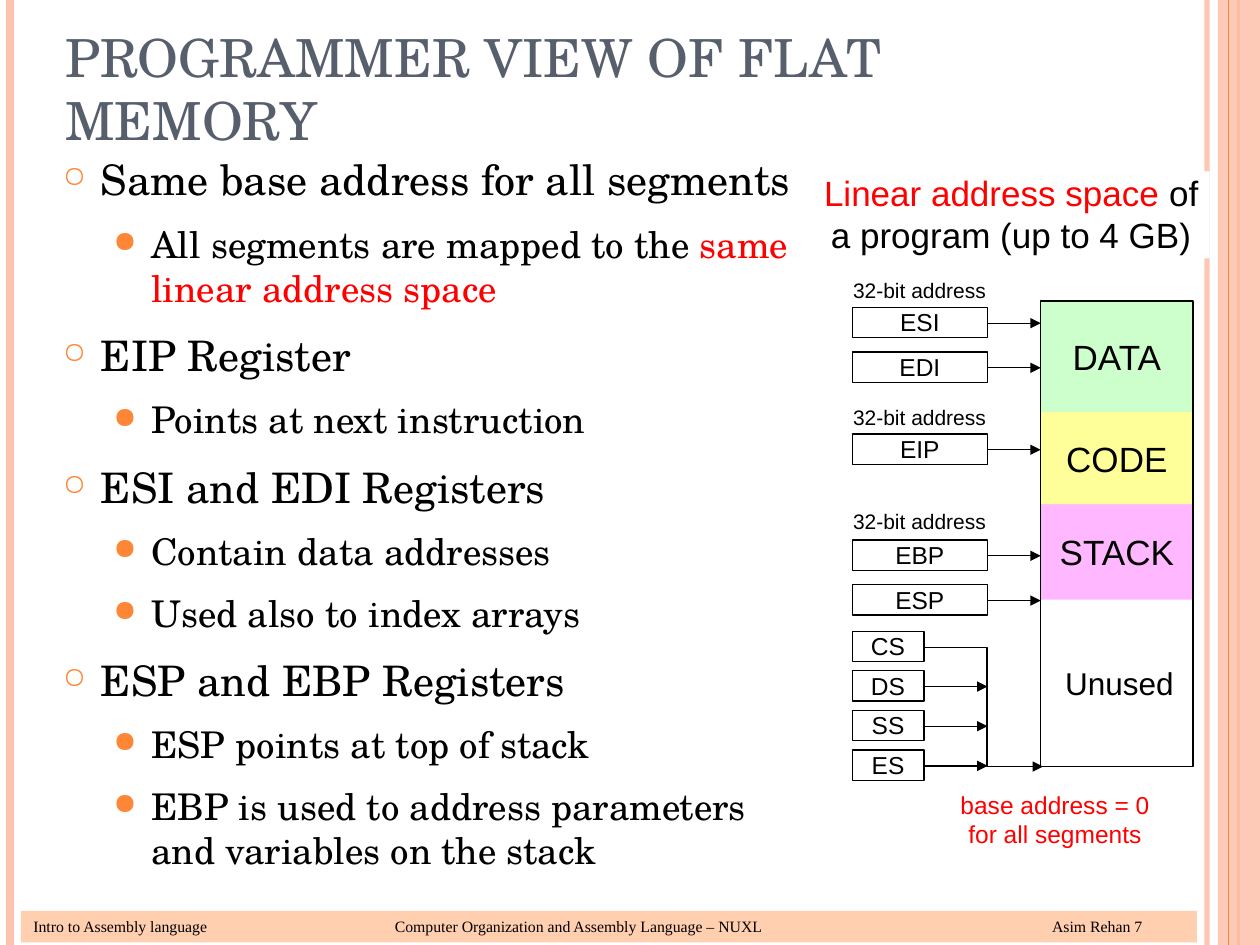
"""Build the slide on the programmer view of flat memory."""
import pptx
import pptx.util
import pptx.dml.color
import pptx.enum.shapes
import pptx.enum.text
import pptx.oxml.ns
import lxml.etree

Pt = pptx.util.Pt
qn = pptx.oxml.ns.qn
sub = lxml.etree.SubElement
RGB = pptx.dml.color.RGBColor.from_string
ALIGN = pptx.enum.text.PP_ALIGN
ANCHOR = pptx.enum.text.MSO_ANCHOR
SHAPE = pptx.enum.shapes.MSO_SHAPE
LINK = pptx.enum.shapes.MSO_CONNECTOR.STRAIGHT

HUES = {
    "black": "000000", "white": "FFFFFF", "red": "FF0000", "slate": "575F6D",
    "peach": "FEC3AE", "orange": "FE8637", "sand": "FFCFAF",
    "green": "CCFFCC", "yellow": "FFFF99", "pink": "FFB7FF",
}
SERIF, SANS, TIMES = "TeX Gyre Schola", "Arial", "Times New Roman"

deck = pptx.Presentation()
deck.slide_width, deck.slide_height = Pt(720), Pt(540)
slide = deck.slides.add_slide(deck.slide_layouts[6])
shapes = slide.shapes


def box(at, rows=(), fill=None, edge=None, face=SANS, align=ALIGN.CENTER,
        anchor=ANCHOR.TOP, pad=(0, 0)):
    """Add a box; each row is (runs, size, space before), each run (text, hue)."""
    spot = [Pt(n) for n in at]
    if fill or edge:
        shape = shapes.add_shape(SHAPE.RECTANGLE, *spot)
        shape.shadow.inherit = False
        shape.line.fill.background()
        shape.fill.background()
    else:
        shape = shapes.add_textbox(*spot)
    if fill:
        shape.fill.solid()
        shape.fill.fore_color.rgb = RGB(HUES[fill])
    if edge:
        shape.line.color.rgb = RGB(HUES[edge])
        shape.line.width = Pt(0.75)
    side, top = Pt(pad[0]), Pt(pad[1])
    frame = shape.text_frame
    form = {"word_wrap": True, "vertical_anchor": anchor, "margin_left": side,
            "margin_right": side, "margin_top": top, "margin_bottom": top}
    for key, val in form.items():
        setattr(frame, key, val)
    for i, (runs, size, gap) in enumerate(rows):
        par = frame.add_paragraph() if i else frame.paragraphs[0]
        for key, val in {"alignment": align, "space_before": Pt(gap)}.items():
            setattr(par, key, val)
        for text, hue in runs:
            run = par.add_run()
            run.text = text
            run.font.color.rgb = RGB(HUES[hue])
            for key, val in {"name": face, "size": Pt(size)}.items():
                setattr(run.font, key, val)
    return shape


def rule(x, y, x2, y2, hue="black", width=0.75, head=False):
    """Add a straight line, with an arrowhead at its end if asked."""
    line = shapes.add_connector(LINK, Pt(x), Pt(y), Pt(x2), Pt(y2))
    line.line.color.rgb = RGB(HUES[hue])
    line.line.width = Pt(width)
    prop = line._element.spPr
    if head:
        sub(prop.find(qn("a:ln")), qn("a:tailEnd"), type="triangle")
    sub(prop, qn("a:effectLst"))
    return line


bar = rule(689.8, 0, 689.8, 540, "peach", 3)
rule(5.8, 0, 5.8, 540, "peach", 4.5)
rule(707.8, 0, 707.8, 540, "orange", 1.5)
band = box((696, 0, 24, 540), fill="peach")
rule(702, 0, 702, 540, "orange")
for item, alpha in ((bar, "93000"), (band, "87000")):
    tint = next(item._element.spPr.iter(qn("a:srgbClr")))
    sub(tint, qn("a:alpha"), val=alpha)

foot = "Intro to Assembly language\t Computer Organization and Assembly Language – NUXL\t Asim Rehan 7"
strip = box((12, 520.5, 672, 18), [([(foot, "black")], 9, 5.6)], "sand",
            face=TIMES, align=ALIGN.LEFT, pad=(7.2, 3.6))
tabs = sub(strip.text_frame.paragraphs[0]._p.get_or_add_pPr(), qn("a:tabLst"))
for pos, kind in ((310.3, "ctr"), (633.6, "r")):
    sub(tabs, qn("a:tab"), pos=str(Pt(pos)), algn=kind)

for y in (158.4, 231.1, 290.9):
    box((487, y, 77, 17.3), [([("32-bit address", "black")], 12, 3)], "white")

parts = (
    ("Unused", 342.7, 95, None, 18, 0),
    ("STACK", 288, 54.7, "pink", 20, 16),
    ("DATA", 171.4, 64.5, "green", 20, 18),
    ("CODE", 235.6, 52.6, "yellow", 20, 6),
)
for name, y, high, hue, size, gap in parts:
    box((594.7 if hue else 596.2, y, 87, high), [([(name, "black")], size, gap)],
        hue, anchor=ANCHOR.MIDDLE, pad=(7.2, 7.2))
box((594.7, 172, 87, 266.2), edge="black")

regs = [("ESI", 175.7), ("EDI", 201.2), ("EIP", 248), ("EBP", 308.6), ("ESP", 334.2)]
regs = [(name, y, 77.3, 594.7) for name, y in regs]
regs += [(name, 360.7 + 22.65 * i, 41, 564.3)
         for i, name in enumerate(("CS", "DS", "SS", "ES"))]
for name, y, wide, end in regs:
    box((487, y, wide, 17.3), [([(name, "black")], 14, 3)], "white", "black",
        pad=(7.2, 0))
    if name != "CS":
        rule(487 + wide, y + 9, end, y + 9, head=True)

pen = shapes.build_freeform(528, 369.9, scale=12700)
pen.add_line_segments([(564, 369.9), (564, 437.7), (596, 437.7)], close=False)
bend = pen.convert_to_shape()
bend.shadow.inherit = False
bend.fill.background()
bend.line.color.rgb = RGB(HUES["black"])
bend.line.width = Pt(0.75)
sub(bend._element.spPr.find(qn("a:ln")), qn("a:tailEnd"), type="triangle")

space = [("Linear address space", "red"), (" of a program (up to 4 GB)", "black")]
box((464.4, 97.9, 226.8, 49.7), [(space, 20, 0)], "white")
box((537, 451.4, 131.8, 36), [([("base address = 0 for all segments", "red")], 14, 3)],
    "white", pad=(7.2, 0))

box((30.2, 0, 588.2, 90), [([("PROGRAMMER VIEW OF FLAT MEMORY", "slate")], 30, 0)],
    face=SERIF, align=ALIGN.LEFT, anchor=ANCHOR.BOTTOM, pad=(7.2, 3.6))

points = (
    (0, "Same base address for all segments", ""),
    (1, "All segments are mapped to the ", "same linear address space"),
    (0, "EIP Register", ""),
    (1, "Points at next instruction", ""),
    (0, "ESI and EDI Registers", ""),
    (1, "Contain data addresses", ""),
    (1, "Used also to index arrays", ""),
    (0, "ESP and EBP Registers", ""),
    (1, "ESP points at top of stack", ""),
    (1, "EBP is used to address parameters and variables on the stack", ""),
)
sizes, gaps = (24, 21), (11.4, 9.9)
rows = [([(text, "black")] + ([(more, "red")] if more else []), sizes[lvl], gaps[lvl])
        for lvl, text, more in points]
body = box((36, 84.2, 424, 411), rows, face=SERIF, align=ALIGN.LEFT, pad=(0, 3.6))
marks = (("○", "70000", 21.6), ("●", "80000", 50.4))
for (lvl, text, more), par in zip(points, body.text_frame.paragraphs):
    sign, scale, left = marks[lvl]
    par.level = lvl
    prop = par._p.get_or_add_pPr()
    prop.set("marL", str(Pt(left)))
    prop.set("indent", str(Pt(-21.6)))
    sub(sub(prop, qn("a:buClr")), qn("a:srgbClr"), val=HUES["orange"])
    sub(prop, qn("a:buSzPct"), val=scale)
    sub(prop, qn("a:buChar"), char=sign)

deck.save("out.pptx")
